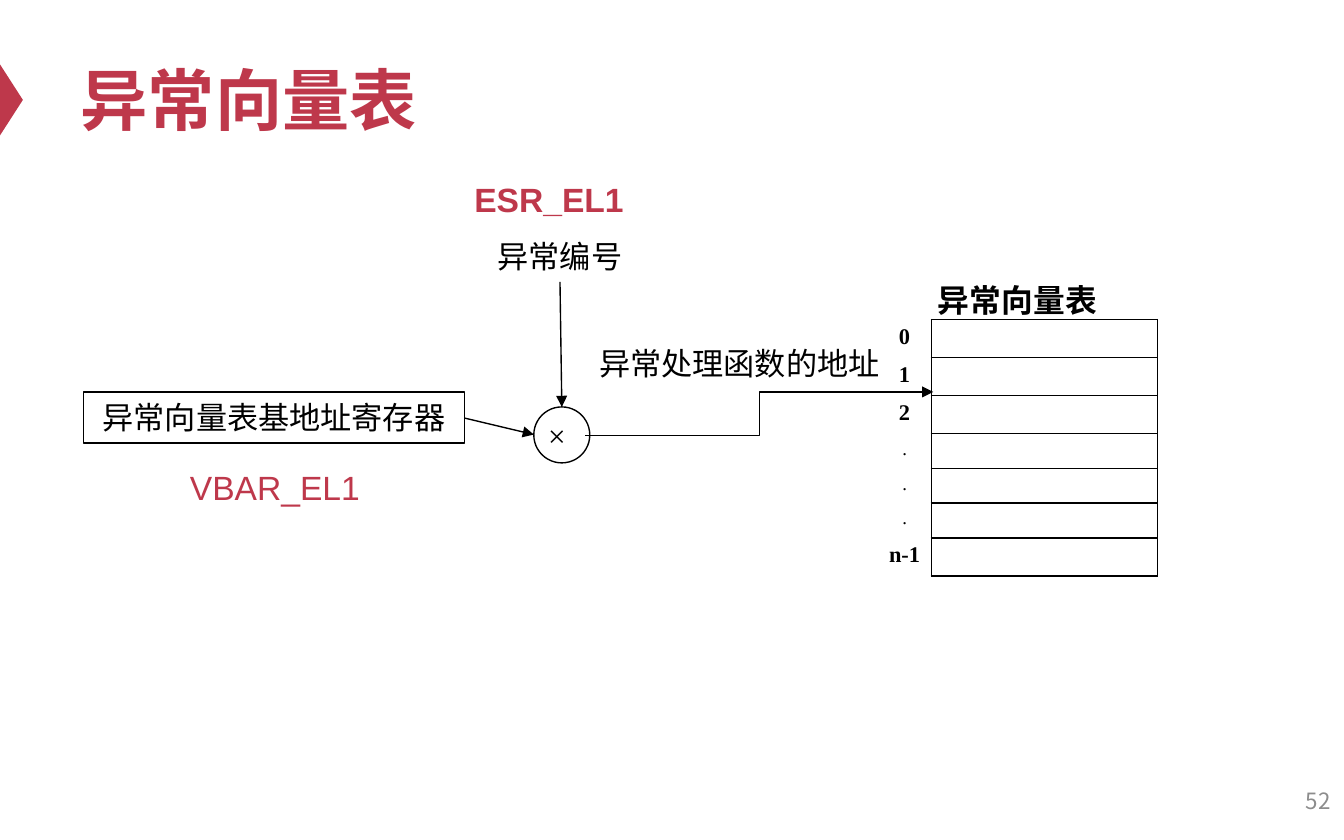
from dataclasses import dataclass

from lxml.etree import SubElement
from pptx import Presentation
from pptx.dml.color import RGBColor
from pptx.enum.shapes import MSO_CONNECTOR, MSO_SHAPE
from pptx.enum.text import MSO_ANCHOR, MSO_AUTO_SIZE, PP_ALIGN
from pptx.oxml.ns import qn
from pptx.util import Pt


@dataclass(frozen=True)
class Theme:
    accent: str = "BE384B"
    ink: str = "000000"
    muted: str = "8C8C8C"
    sans: str = "Arial"
    serif: str = "Times New Roman"
    chinese: str = "Noto Sans CJK SC"
    title: float = 36
    register: float = 18
    heading: float = 17
    label: float = 16.7
    index: float = 12
    dots: float = 10
    line: float = 0.75
    border: float = 1


NO_STYLE = "{2D5ABB26-0587-4C30-8999-92F81FD0307C}"


class SlideBuilder:
    def __init__(self, slide, theme):
        self.slide = slide
        self.theme = theme

    def set_text(self, frame, text, size, font, color, bold=False, align=PP_ALIGN.LEFT):
        frame.text = text
        paragraph = frame.paragraphs[0]
        paragraph.alignment = align
        for run in paragraph.runs:
            run.font.size = Pt(size)
            run.font.name = font
            run.font.bold = bold
            run.font.color.rgb = RGBColor.from_string(color)
            SubElement(run.font._element, qn("a:ea"), typeface=self.theme.chinese)

    def title(self, text, box):
        title = self.slide.shapes.title
        title.left, title.top, title.width, title.height = map(Pt, box)
        frame = title.text_frame
        frame.vertical_anchor = MSO_ANCHOR.MIDDLE
        frame.auto_size = MSO_AUTO_SIZE.NONE
        self.set_text(frame, text, self.theme.title, self.theme.sans, self.theme.accent, True)

    def text(self, text, box, size, font, color, bold=False, align=PP_ALIGN.LEFT,
             wrap=True, anchor=MSO_ANCHOR.TOP):
        frame = self.slide.shapes.add_textbox(*map(Pt, box)).text_frame
        frame.word_wrap = wrap
        frame.vertical_anchor = anchor
        self.set_text(frame, text, size, font, color, bold, align)

    def label(self, text, box, align=PP_ALIGN.LEFT, wrap=True):
        self.text(text, box, self.theme.label, self.theme.serif, self.theme.ink,
                  align=align, wrap=wrap)

    def register(self, text, box, bold=False, align=PP_ALIGN.LEFT):
        self.text(text, box, self.theme.register, self.theme.sans, self.theme.accent,
                  bold, align)

    def shape(self, kind, box, fill=None, line=None, rotation=0):
        shape = self.slide.shapes.add_shape(kind, *map(Pt, box))
        shape.shadow.inherit = False
        shape.rotation = rotation
        if fill:
            shape.fill.solid()
            shape.fill.fore_color.rgb = RGBColor.from_string(fill)
        else:
            shape.fill.background()
        if line:
            shape.line.color.rgb = RGBColor.from_string(line)
            shape.line.width = Pt(self.theme.line)
        else:
            shape.line.fill.background()
        return shape

    def labelled_box(self, text, box):
        frame = self.shape(MSO_SHAPE.RECTANGLE, box, line=self.theme.ink).text_frame
        frame.word_wrap = False
        frame.vertical_anchor = MSO_ANCHOR.TOP
        self.set_text(frame, text, self.theme.label, self.theme.serif, self.theme.ink,
                      align=PP_ALIGN.CENTER)

    def arrow(self, start, end, kind=MSO_CONNECTOR.STRAIGHT):
        arrow = self.slide.shapes.add_connector(kind, *map(Pt, start + end))
        arrow.line.color.rgb = RGBColor.from_string(self.theme.ink)
        arrow.line.width = Pt(self.theme.line)
        SubElement(arrow.line._get_or_add_ln(), qn("a:tailEnd"), type="triangle")
        SubElement(arrow._element.spPr, qn("a:effectLst"))

    def cell_borders(self, cell):
        properties = cell._tc.get_or_add_tcPr()
        for position, side in enumerate(("lnL", "lnR", "lnT", "lnB")):
            border = properties.makeelement(qn(f"a:{side}"), w=str(Pt(self.theme.border)))
            fill = SubElement(border, qn("a:solidFill"))
            SubElement(fill, qn("a:srgbClr"), val=self.theme.ink)
            properties.insert(position, border)

    def vector_table(self, heading, indices, origin, widths, heights):
        theme = self.theme
        size = (sum(widths), sum(heights))
        frame = self.slide.shapes.add_table(len(heights), 2, *map(Pt, origin + size))
        table = frame.table
        table.first_row = table.horz_banding = False
        table._tbl.tblPr.find(qn("a:tableStyleId")).text = NO_STYLE
        for column, width in zip(table.columns, widths):
            column.width = Pt(width)
        for row, height in zip(table.rows, heights):
            row.height = Pt(height)
        for cell in table.iter_cells():
            cell.margin_left = cell.margin_right = Pt(5.6)
            cell.margin_top = cell.margin_bottom = Pt(2.8)
            cell.fill.background()
        table.cell(0, 0).merge(table.cell(0, 1))
        self.set_text(table.cell(0, 0).text_frame, heading, theme.heading, theme.serif,
                      theme.ink, True, PP_ALIGN.CENTER)
        for row, index in enumerate(indices, 1):
            dotted = index == "."
            self.set_text(table.cell(row, 0).text_frame, index,
                          theme.dots if dotted else theme.index, theme.serif, theme.ink,
                          not dotted, PP_ALIGN.CENTER)
            entry = table.cell(row, 1)
            SubElement(entry.text_frame.paragraphs[0]._p, qn("a:endParaRPr"),
                       sz=str(theme.dots * 100))
            self.cell_borders(entry)


def main():
    theme = Theme()
    deck = Presentation()
    deck.slide_width, deck.slide_height = Pt(720), Pt(450)
    page = SlideBuilder(deck.slides.add_slide(deck.slide_layouts[5]), theme)

    page.shape(MSO_SHAPE.ISOSCELES_TRIANGLE, (-13, 47.4, 38.2, 12.3), theme.accent, rotation=90)
    page.title("异常向量表", (36, 15.1, 648, 75))
    page.text("52", (552, 417, 168, 24), theme.index, theme.chinese, theme.muted,
              align=PP_ALIGN.RIGHT, anchor=MSO_ANCHOR.MIDDLE)

    page.label("异常编号", (225, 123.8, 150, 27.4), PP_ALIGN.CENTER)
    page.labelled_box("异常向量表基地址寄存器", (44.8, 210, 204, 27.4))
    indices = ["0", "1", "2", ".", ".", ".", "n-1"]
    heights = [26.2] + [18.6 if index == "." else 20.4 for index in indices]
    page.vector_table("异常向量表", indices, (470.2, 145), (28.8, 121), heights)
    page.label("异常处理函数的地址", (314, 180.7, 165, 27.4), wrap=False)

    page.shape(MSO_SHAPE.FLOWCHART_CONNECTOR, (286, 218, 30, 30), line=theme.ink)
    page.label("×", (286.6, 219.6, 27.4, 27.4), wrap=False)
    page.arrow((300, 151), (301, 218))
    page.arrow((249, 224), (286, 232.8))
    page.arrow((313.5, 233.5), (500, 210), MSO_CONNECTOR.ELBOW)

    page.register("VBAR_EL1", (44.8, 246.4, 205, 29), align=PP_ALIGN.CENTER)
    page.register("ESR_EL1", (247, 92.2, 107, 29), bold=True)
    deck.save("out.pptx")


if __name__ == "__main__":
    main()
